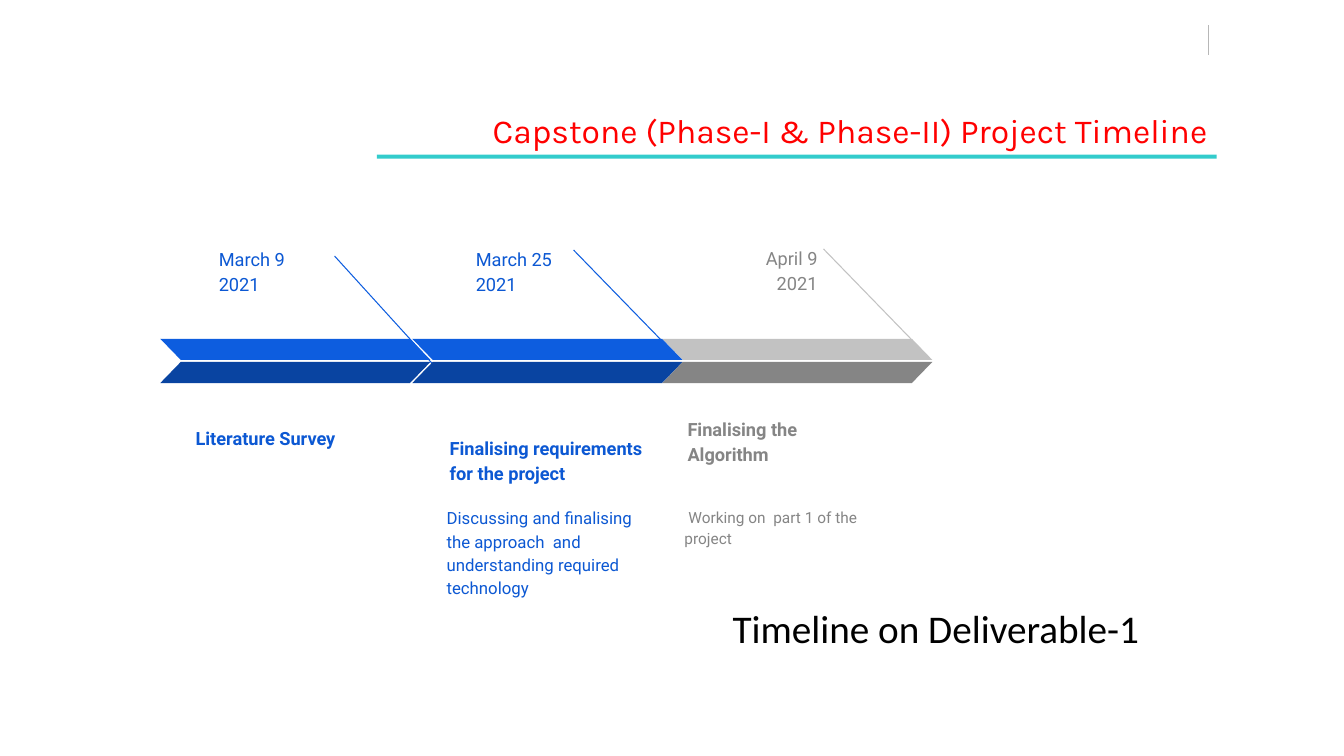
"""Build a project timeline slide with three chevron stages."""
from pptx import Presentation
from pptx.dml.color import RGBColor
from pptx.enum.shapes import MSO_CONNECTOR, MSO_SHAPE
from pptx.enum.text import MSO_ANCHOR, PP_ALIGN
from pptx.oxml.ns import qn
from pptx.util import Pt
from lxml import etree

LINE = MSO_CONNECTOR.STRAIGHT
SLANT, RECT = MSO_SHAPE.PARALLELOGRAM, MSO_SHAPE.RECTANGLE
TOP, MID, LOW = MSO_ANCHOR.TOP, MSO_ANCHOR.MIDDLE, MSO_ANCHOR.BOTTOM
LEFT, RIGHT = PP_ALIGN.LEFT, PP_ALIGN.RIGHT

BLUE = ("0C58D3", "0D5DDF", "0944A1")
GRAY = ("858585", "C2C2C2", "858585")
BAR_W, BAR_H = 193, 15.1
TIERS = (242, 258.5)

STAGES = [
    dict(tint=BLUE, bar=114.5, line=(239, 182.9, 309.6, 260.6),
         date=("March 9 2021", (146.9, 165.6, 92.2, 35.3), LEFT),
         head=("Literature Survey", (130.3, 283, 157.7, 46.8))),
    dict(tint=GRAY, bar=473, line=(588.2, 177.8, 663.8, 255.6),
         date=("April 9 2021", (527.8, 165, 65.5, 25.2), RIGHT),
         head=("Finalising the Algorithm", (481.7, 264.2, 157.7, 77.8)),
         body=(" Working on  part 1 of the project",
               (479.5, 351.4, 162, 77.8), 11)),
    dict(tint=BLUE, bar=294.5, line=(409.7, 178.6, 485.3, 256.3),
         date=("March 25 2021", (330.5, 165.6, 84.2, 46.8), LEFT),
         head=("Finalising requirements for the project",
               (311.8, 308.2, 157.7, 46.8)),
         body=("Discussing and finalising the approach  and "
               "understanding required technology",
               (309.6, 351.4, 162, 77.8), 12)),
]
TITLE = "Capstone (Phase-I & Phase-II) Project Timeline"
NOTE = "Timeline on Deliverable-1"

deck = Presentation()
deck.slide_width, deck.slide_height = Pt(960), Pt(540)
slide = deck.slides.add_slide(deck.slide_layouts[6])
shapes = slide.shapes


def paint(hue):
    return RGBColor.from_string(hue)


def block(kind, box, hue):
    item = shapes.add_shape(kind, *map(Pt, box))
    item.shadow.inherit = False
    item.fill.solid()
    item.fill.fore_color.rgb = paint(hue)
    item.line.fill.background()
    return item


def stroke(ends, hue):
    item = shapes.add_connector(LINE, *map(Pt, ends))
    item.line.color.rgb = paint(hue)
    item.line.width = Pt(0.75)
    etree.SubElement(item._element.spPr, qn("a:effectLst"))


def label(text, box, size, hue, face="Roboto", bold=False, align=LEFT,
          anchor=TOP, pad=(9.4, 9.4), lead=1.15):
    frame = shapes.add_textbox(*map(Pt, box)).text_frame
    frame.word_wrap = True
    frame.vertical_anchor = anchor
    frame.margin_left = frame.margin_right = Pt(pad[0])
    frame.margin_top = frame.margin_bottom = Pt(pad[1])
    para = frame.paragraphs[0]
    para.text = text
    para.alignment, para.line_spacing = align, lead
    font = para.font
    font.name, font.size, font.bold = face, Pt(size), bold
    font.color.rgb = paint(hue)


stroke((863.3, 18, 863.3, 39.6), "B7B7B7")

for stage in STAGES:
    ink, *tones = stage["tint"]
    text, box, align = stage["date"]
    label(text, box, 13, ink, align=align)
    label(*stage["head"], 13, ink, bold=True, anchor=LOW)
    if "body" in stage:
        label(*stage["body"], ink)
    stroke(stage["line"], tones[0])
    for row, (top, tone) in enumerate(zip(TIERS, tones)):
        bar = block(SLANT, (stage["bar"], top, BAR_W, BAR_H), tone)
        bar.adjustments[0] = 0.97
        if row == 0:
            bar._element.spPr.xfrm.set("flipH", "1")

label(NOTE, (516.2, 432, 375.8, 54.7), 28, "000000", "Calibri",
      pad=(7.2, 3.6), lead=0.9)
label(TITLE, (275, 74, 594.7, 38), 24, "FF0000", "Karla", align=RIGHT,
      anchor=MID, pad=(7.2, 3.6), lead=1)
block(RECT, (269.3, 110.4, 599.8, 2.9), "33CCCC")

deck.save("out.pptx")
